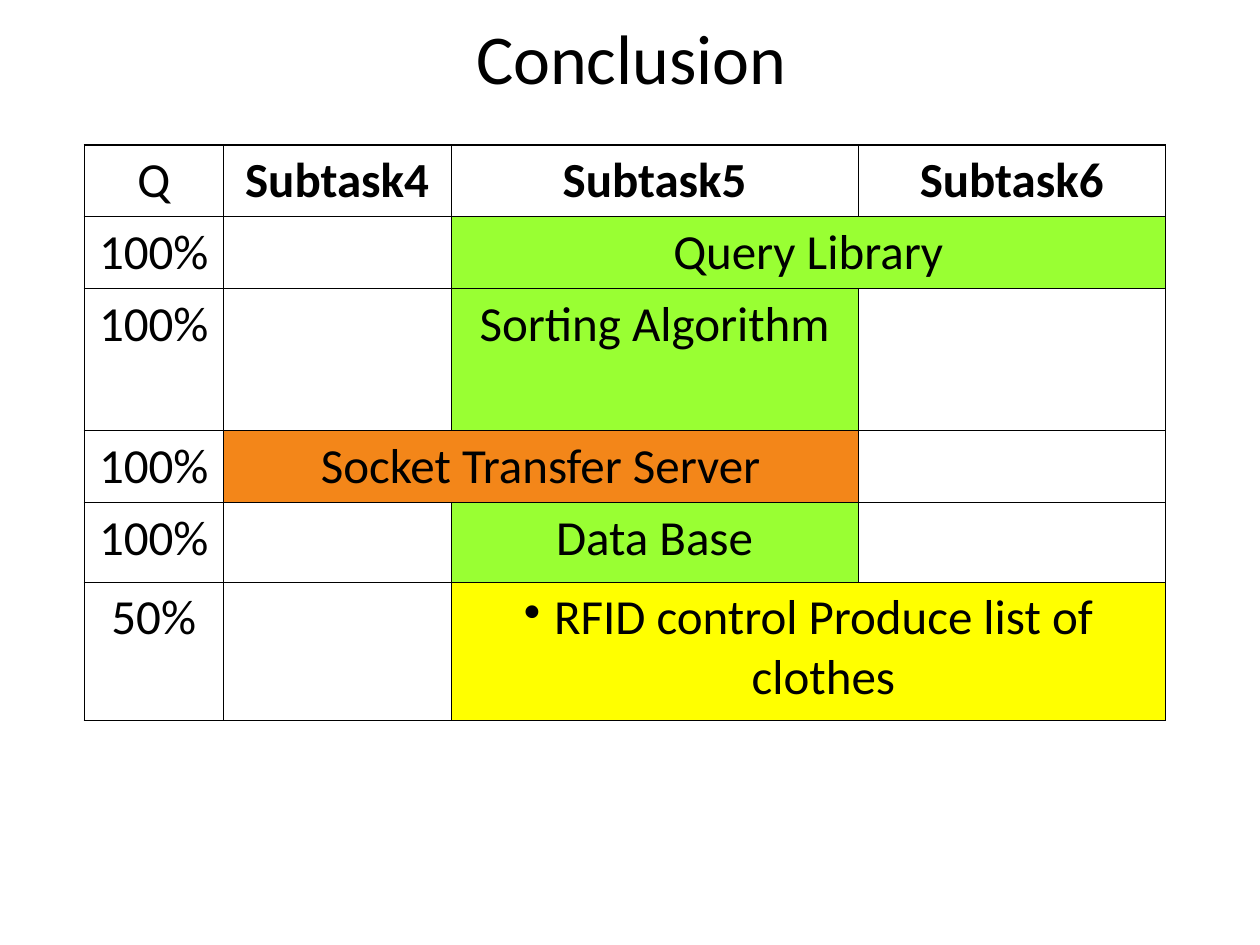
from lxml.etree import SubElement
from pptx import Presentation
from pptx.dml.color import RGBColor
from pptx.enum.text import MSO_ANCHOR, PP_ALIGN
from pptx.oxml.ns import qn
from pptx.util import Inches, Pt

BLACK, WHITE = "000000", "FFFFFF"
GREEN, ORANGE, YELLOW = "99FF33", "F38619", "FFFF00"
THIN, THICK = 0.45, 1.08
COLUMN_WIDTHS = [1.1, 1.81, 3.23, 2.44]
ROW_HEIGHTS = [0.57, 0.57, 1.13, 0.57, 0.63, 1.1]
HEADINGS = ["Q", "Subtask4", "Subtask5", "Subtask6"]
PROGRESS = ["100%", "100%", "100%", "100%", "50%"]
TASKS = [
    {"text": "Query Library", "first": 2, "last": 3, "fill": GREEN},
    {"text": "Sorting Algorithm", "first": 2, "last": 2, "fill": GREEN},
    {"text": "Socket Transfer Server", "first": 1, "last": 2, "fill": ORANGE},
    {"text": "Data Base", "first": 2, "last": 2, "fill": GREEN},
    {"text": "RFID control Produce list of clothes", "first": 2, "last": 3,
     "fill": YELLOW, "bullet": True},
]


def color(value):
    return RGBColor.from_string(value)


def add_bullet(paragraph):
    properties = paragraph._p.get_or_add_pPr()
    properties.set("marL", str(Inches(0.24)))
    properties.set("indent", str(-Inches(0.24)))
    bullet_color = SubElement(properties, qn("a:buClr"))
    SubElement(bullet_color, qn("a:srgbClr"), val=BLACK)
    SubElement(properties, qn("a:buChar"), char="•")


def write_text(text_frame, text, size=28, bold=False, bullet=False):
    paragraph = text_frame.paragraphs[0]
    paragraph.alignment = PP_ALIGN.CENTER
    if bullet:
        add_bullet(paragraph)
    run = paragraph.add_run()
    run.text = text
    run.font.name = "Calibri"
    run.font.size = Pt(size)
    run.font.bold = bold
    run.font.color.rgb = color(BLACK)


def add_title(slide, text):
    shape = slide.shapes.add_textbox(Inches(0.51), Inches(0.05), Inches(9), Inches(0.79))
    shape.text_frame.word_wrap = True
    shape.text_frame.vertical_anchor = MSO_ANCHOR.MIDDLE
    write_text(shape.text_frame, text, size=40)


def set_borders(cell, outer_sides):
    properties = cell._tc.get_or_add_tcPr()
    for side in "LRTB":
        width = THICK if side in outer_sides else THIN
        line = SubElement(properties, qn(f"a:ln{side}"), w=str(Pt(width)))
        fill = SubElement(line, qn("a:solidFill"))
        SubElement(fill, qn("a:srgbClr"), val=BLACK)


def outer_sides(cell, row, column):
    edges = {
        "L": column == 0,
        "R": column + cell.span_width == len(COLUMN_WIDTHS),
        "T": row == 0,
        "B": row == len(ROW_HEIGHTS) - 1,
    }
    return [side for side, outer in edges.items() if outer]


def format_cells(table):
    for row in range(len(ROW_HEIGHTS)):
        for column in range(len(COLUMN_WIDTHS)):
            cell = table.cell(row, column)
            cell.margin_left = cell.margin_right = Inches(0.1)
            cell.margin_top = cell.margin_bottom = Inches(0.05)
            set_borders(cell, outer_sides(cell, row, column))
            cell.fill.background()


def fill_cell(cell, value):
    cell.fill.solid()
    cell.fill.fore_color.rgb = color(value)


def add_task_table(slide):
    table = slide.shapes.add_table(
        len(ROW_HEIGHTS), len(COLUMN_WIDTHS), Inches(0.67), Inches(1.15),
        Inches(sum(COLUMN_WIDTHS)), Inches(sum(ROW_HEIGHTS))).table
    table.first_row = table.horz_banding = False
    for column, width in zip(table.columns, COLUMN_WIDTHS):
        column.width = Inches(width)
    for row, height in zip(table.rows, ROW_HEIGHTS):
        row.height = Inches(height)
    for row, task in enumerate(TASKS, start=1):
        if task["last"] > task["first"]:
            table.cell(row, task["first"]).merge(table.cell(row, task["last"]))
    format_cells(table)

    for column, heading in enumerate(HEADINGS):
        write_text(table.cell(0, column).text_frame, heading, bold=column > 0)
    for row, (progress, task) in enumerate(zip(PROGRESS, TASKS), start=1):
        write_text(table.cell(row, 0).text_frame, progress)
        cell = table.cell(row, task["first"])
        write_text(cell.text_frame, task["text"], bullet=task.get("bullet", False))
        fill_cell(cell, task["fill"])
    fill_cell(table.cell(2, 3), WHITE)


def main():
    presentation = Presentation()
    presentation.slide_width = Inches(10)
    presentation.slide_height = Inches(7.5)
    slide = presentation.slides.add_slide(presentation.slide_layouts[6])
    add_title(slide, "Conclusion")
    add_task_table(slide)
    presentation.save("out.pptx")


if __name__ == "__main__":
    main()
